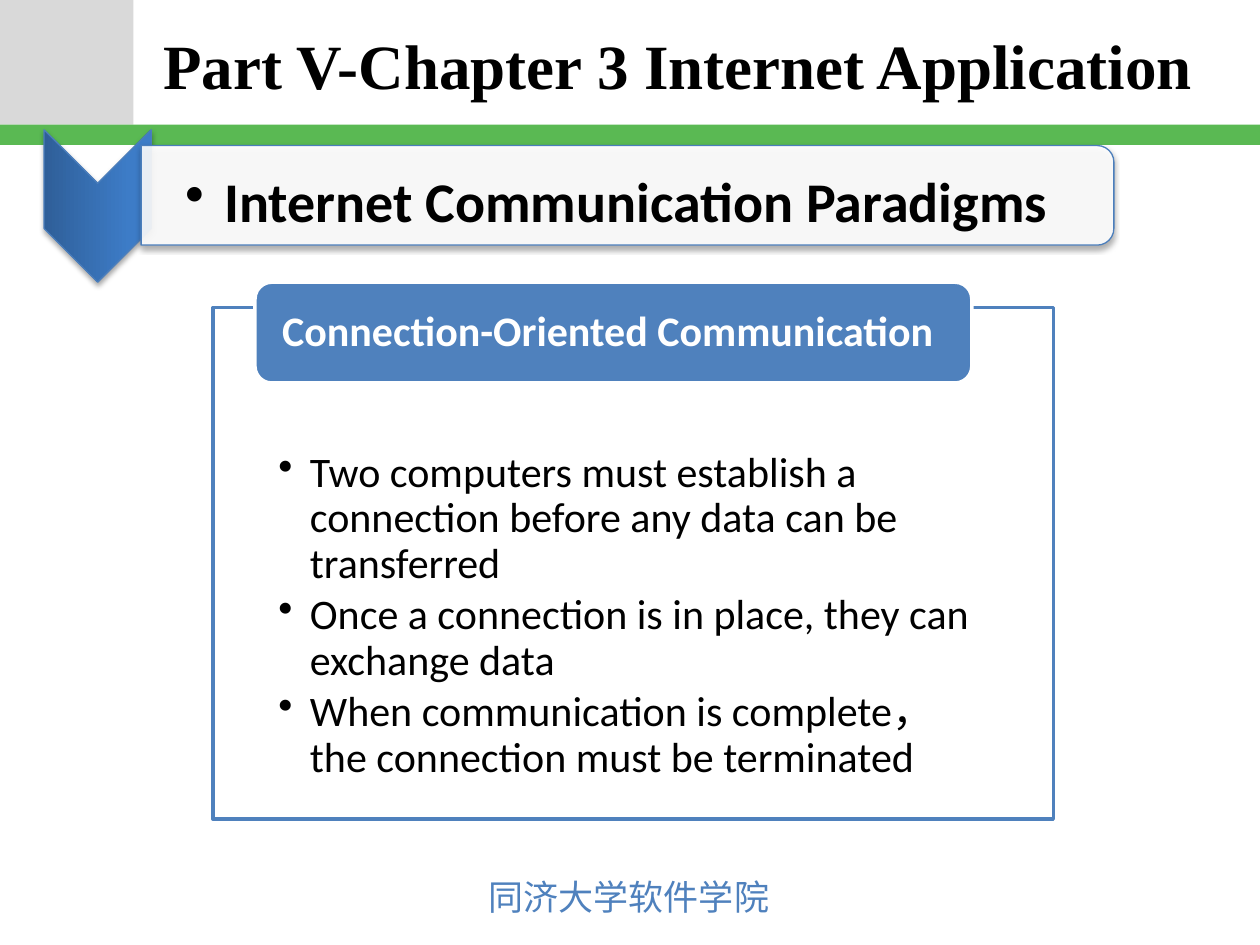
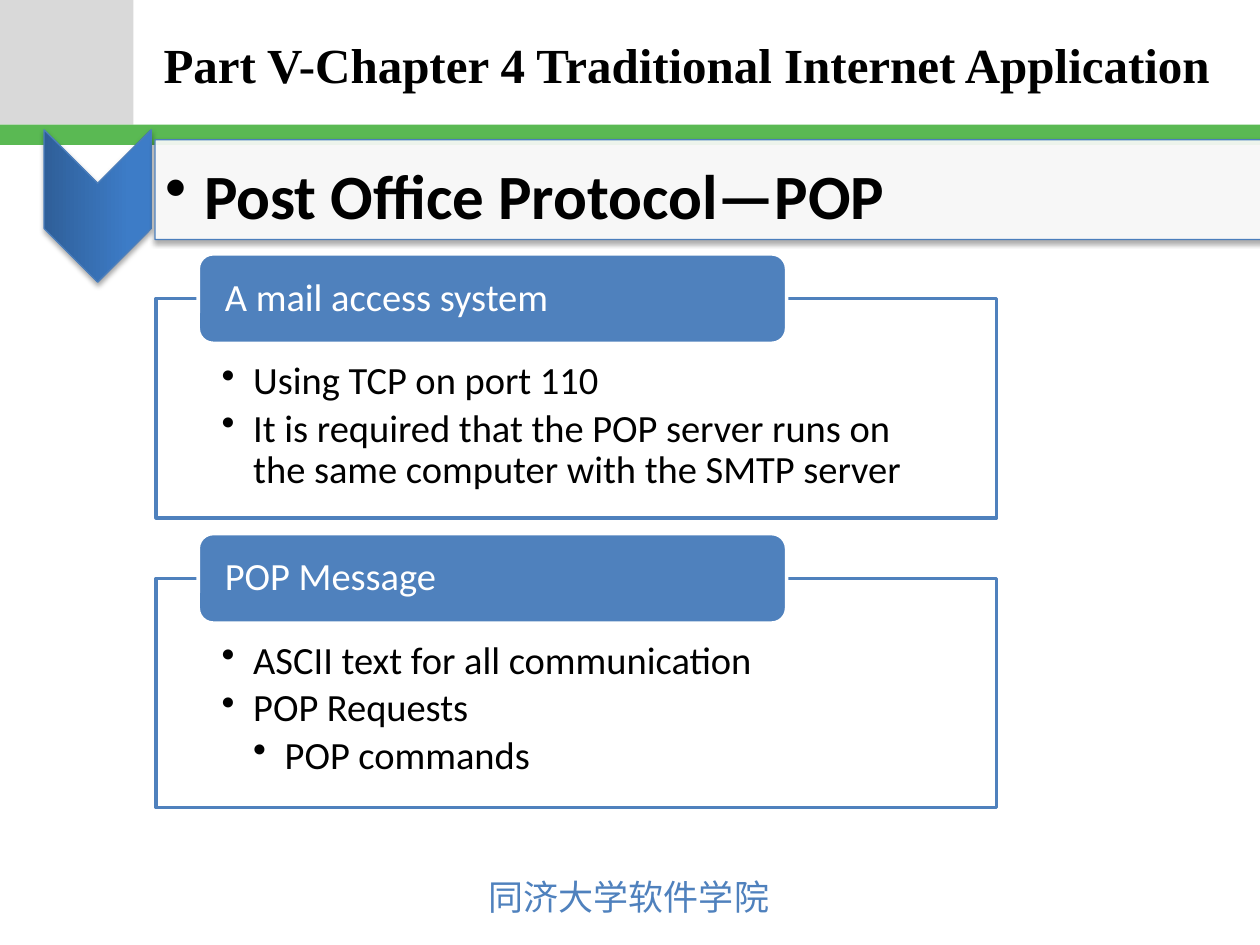
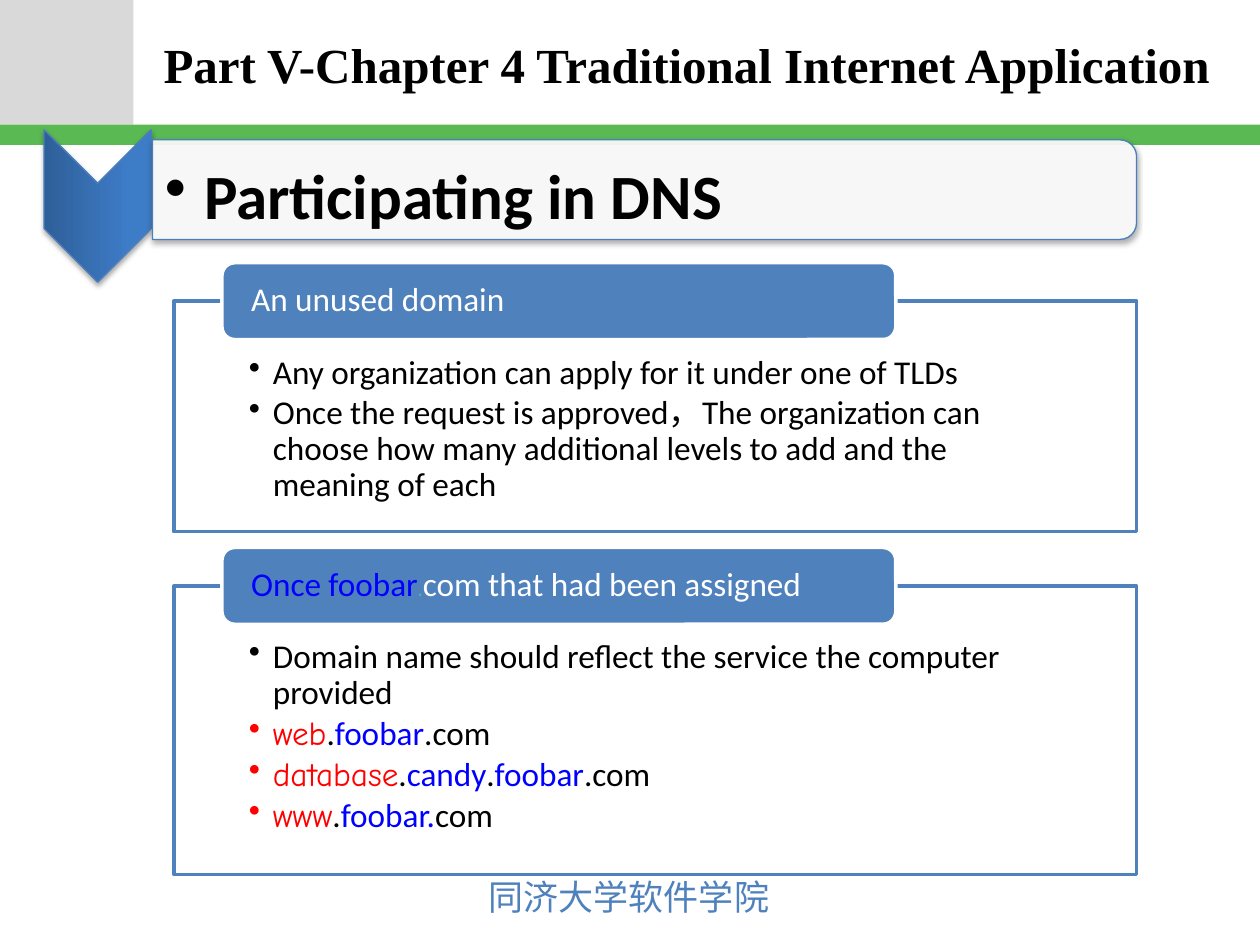
from dataclasses import dataclass

from lxml.etree import SubElement
from pptx import Presentation
from pptx.dml.color import RGBColor
from pptx.enum.shapes import MSO_SHAPE
from pptx.enum.text import MSO_ANCHOR, PP_ALIGN
from pptx.oxml.ns import qn
from pptx.util import Emu, Inches, Pt

COLORS = {
    "white": "FFFFFF",
    "black": "000000",
    "grey": "D9D9D9",
    "green": "5AB953",
    "blue": "4F81BD",
    "edge": "4B7EBC",
    "dark": "2F5F99",
    "bright": "3D7CC7",
    "red": "FF0000",
    "link": "0000FF",
    "aqua": "4BACC6",
}
BODY_FONT = "Calibri"
TITLE_FONT = "Times New Roman"
ACCENT_FONT = "Comic Neue"
FOOTER_FONT = "Noto Sans CJK JP"
COLUMNS, ROWS = 100, 75
CHAPTER_4 = "Part V-Chapter 4 Traditional Internet Application"


@dataclass
class Run:
    text: str
    color: str = "black"
    font: str = BODY_FONT


@dataclass
class Item:
    runs: list
    level: int = 1


def item(text, level=1):
    return Item([Run(text)], level)


def host(service, *labels):
    return Item([Run(service, "red", ACCENT_FONT), *labels])


class Deck:
    def __init__(self):
        self.presentation = Presentation()
        self.presentation.slide_width = Inches(10)
        self.presentation.slide_height = Inches(7.5)
        self.column = self.presentation.slide_width / COLUMNS
        self.row = self.presentation.slide_height / ROWS
        self.slide = None

    def place(self, left, top, width, height):
        return (Emu(round(left * self.column)), Emu(round(top * self.row)),
                Emu(round(width * self.column)), Emu(round(height * self.row)))

    def color(self, name):
        return RGBColor.from_string(COLORS[name])

    def shape(self, kind, box, fill, line=None, weight=2, alpha=None):
        shape = self.slide.shapes.add_shape(kind, *self.place(*box))
        shape.shadow.inherit = False
        shape.fill.solid()
        shape.fill.fore_color.rgb = self.color(fill)
        if alpha:
            color = shape._element.spPr.find(qn("a:solidFill"))[0]
            SubElement(color, qn("a:alpha"), val=str(alpha * 1000))
        if line:
            shape.line.color.rgb = self.color(line)
            shape.line.width = Pt(weight)
        else:
            shape.line.fill.background()
        return shape

    def drop_shadow(self, shape):
        effects = shape._element.spPr.find(qn("a:effectLst"))
        shadow = SubElement(effects, qn("a:outerShdw"), blurRad=str(Pt(3.1)),
                            dist=str(Pt(1.8)), dir="5400000", rotWithShape="0")
        color = SubElement(shadow, qn("a:srgbClr"), val=COLORS["black"])
        SubElement(color, qn("a:alpha"), val="35000")

    def text_box(self, box):
        return self.slide.shapes.add_textbox(*self.place(*box))

    def frame(self, shape, anchor, insets=None, wrap=True):
        text_frame = shape.text_frame
        text_frame.word_wrap = wrap
        text_frame.vertical_anchor = anchor
        if insets:
            left, top, right, bottom = self.place(*insets)
            text_frame.margin_left, text_frame.margin_top = left, top
            text_frame.margin_right, text_frame.margin_bottom = right, bottom
        return text_frame

    def add_runs(self, paragraph, runs, size, bold=False, after=None):
        paragraph.alignment = PP_ALIGN.LEFT
        if after:
            paragraph.line_spacing = 0.9
            paragraph.space_after = Pt(round(size * after, 2))
        for part in runs:
            run = paragraph.add_run()
            run.text = part.text
            run.font.name = part.font
            run.font.size = Pt(size)
            run.font.bold = bold
            run.font.color.rgb = self.color(part.color)
            if part.font == FOOTER_FONT:
                SubElement(run._r.get_or_add_rPr(), qn("a:ea"), typeface=part.font)

    def bullets(self, text_frame, items, size, indent, bold=False):
        for index, entry in enumerate(items):
            paragraph = text_frame.add_paragraph() if index else text_frame.paragraphs[0]
            paragraph.level = entry.level
            step = round(indent * self.column)
            properties = paragraph._p.get_or_add_pPr()
            properties.set("marL", str(step * entry.level))
            properties.set("indent", str(-step))
            SubElement(properties, qn("a:buChar"), char="•")
            self.add_runs(paragraph, entry.runs, size, bold, after=0.15)

    def start(self, title, size):
        self.slide = self.presentation.slides.add_slide(self.presentation.slide_layouts[6])
        self.shape(MSO_SHAPE.RECTANGLE, (0, 0, 10.6, 9.9), "grey")
        self.shape(MSO_SHAPE.RECTANGLE, (0, 9.9, COLUMNS, 1.6), "green")
        footer = self.frame(self.text_box((37.8, 69, 24.5, 4.4)), MSO_ANCHOR.TOP, wrap=False)
        self.add_runs(footer.paragraphs[0], [Run("同济大学软件学院", "blue", FOOTER_FONT)], 20)
        heading = self.frame(self.text_box((12, 0.2, 86, 9.8)), MSO_ANCHOR.MIDDLE)
        self.add_runs(heading.paragraphs[0], [Run(title, "black", TITLE_FONT)], size, bold=True)

    def topic(self, text, size, left, top, width, text_left):
        chevron = self.shape(MSO_SHAPE.CHEVRON, (1.7, 12.1, 12.1, 8.5), "dark", "edge", 0.75)
        chevron.rotation = 90
        chevron.fill.gradient()
        chevron.fill.gradient_angle = 90
        for stop, (position, name) in zip(chevron.fill.gradient_stops,
                                          ((0, "dark"), (0.8, "bright"))):
            stop.position = position
            stop.color.rgb = self.color(name)
        self.drop_shadow(chevron)

        height = 7.9
        turned = (left + (width - height) / 2, top + (height - width) / 2, height, width)
        panel = self.shape(MSO_SHAPE.ROUND_2_SAME_RECTANGLE, turned, "white", "edge", 0.75, 90)
        panel.rotation = 90
        self.drop_shadow(panel)
        label = self.text_box((text_left, top + 1.15, width - 0.4, 7.1))
        text_frame = self.frame(label, MSO_ANCHOR.MIDDLE, (2.5, 0.2, 0.2, 0.2))
        self.bullets(text_frame, [item(text)], size, 3.1, bold=True)

    def section(self, box, header, items, size, tab_height, text_top, indent=2.5,
                tab_share=0.7, overlap=0.5, bold=False):
        left, top, width, height = box
        side = width * 0.078
        body = self.shape(MSO_SHAPE.RECTANGLE, box, "white", "blue", alpha=90)
        text_frame = self.frame(body, MSO_ANCHOR.TOP, (side, text_top, side, 1.5))
        self.bullets(text_frame, items, size, indent)

        tab_box = (left + width * 0.05, top - tab_height * overlap, width * tab_share, tab_height)
        tab = self.shape(MSO_SHAPE.ROUNDED_RECTANGLE, tab_box, "blue", "white")
        inset = width * 0.0265
        label = self.frame(tab, MSO_ANCHOR.MIDDLE, (inset, 0, inset, 0))
        self.add_runs(label.paragraphs[0], header, size, bold, after=0.35)


def paradigms_slide(deck):
    deck.start("Part V-Chapter 3 Internet Application", 36)
    deck.topic("Internet Communication Paradigms", 32, 11.2, 11.55, 77.2, 12.2)
    deck.section(
        (16.9, 24.4, 66.7, 40.6),
        [Run("Connection-Oriented Communication", "white")],
        [item("Two computers must establish a connection before any data can be transferred"),
         item("Once a connection is in place, they can exchange data"),
         item("When communication is complete，the connection must be terminated")],
        size=24, tab_height=8, text_top=11.4, tab_share=0.853, overlap=0.25, bold=True)


def pop_slide(deck):
    deck.start(CHAPTER_4, 28)
    deck.topic("Post Office Protocol—POP", 36, 12.3, 11.1, 90.5, 10.6)
    style = {"size": 22, "tab_height": 7.1, "text_top": 5}
    deck.section(
        (12.4, 23.7, 66.7, 17.4),
        [Run("A mail access system", "white")],
        [item("Using TCP on port 110"),
         item("It is required that the POP server runs on the same computer with the SMTP server")],
        **style)
    deck.section(
        (12.4, 45.9, 66.7, 18.2),
        [Run("POP Message", "white")],
        [item("ASCII text for all communication"),
         item("POP Requests"),
         item("POP commands", level=2)],
        **style)


def dns_slide(deck):
    deck.start(CHAPTER_4, 28)
    deck.topic("Participating in DNS", 36, 12.1, 11.1, 78.1, 10.6)
    style = {"size": 19, "tab_height": 6.1, "text_top": 4.3, "indent": 1.9}
    dot, foobar, com = Run("."), Run("foobar", "link"), Run(".com")
    deck.section(
        (13.8, 23.9, 76.4, 18.3),
        [Run("An unused domain", "white")],
        [item("Any organization can apply for it under one of TLDs"),
         item("Once the request is approved，The organization can choose how many "
              "additional levels to add and the meaning of each")],
        **style)
    deck.section(
        (13.8, 46.5, 76.4, 22.9),
        [Run("Once foobar", "link"), Run(".", "aqua", ACCENT_FONT),
         Run("com that had been assigned", "white")],
        [item("Domain name should reflect the service the computer provided"),
         host("web", dot, foobar, com),
         host("database", dot, Run("candy", "link"), dot, foobar, com),
         host("www", dot, Run("foobar.", "link"), Run("com"))],
        **style)


def main():
    deck = Deck()
    paradigms_slide(deck)
    pop_slide(deck)
    dns_slide(deck)
    deck.presentation.save("out.pptx")


if __name__ == "__main__":
    main()
